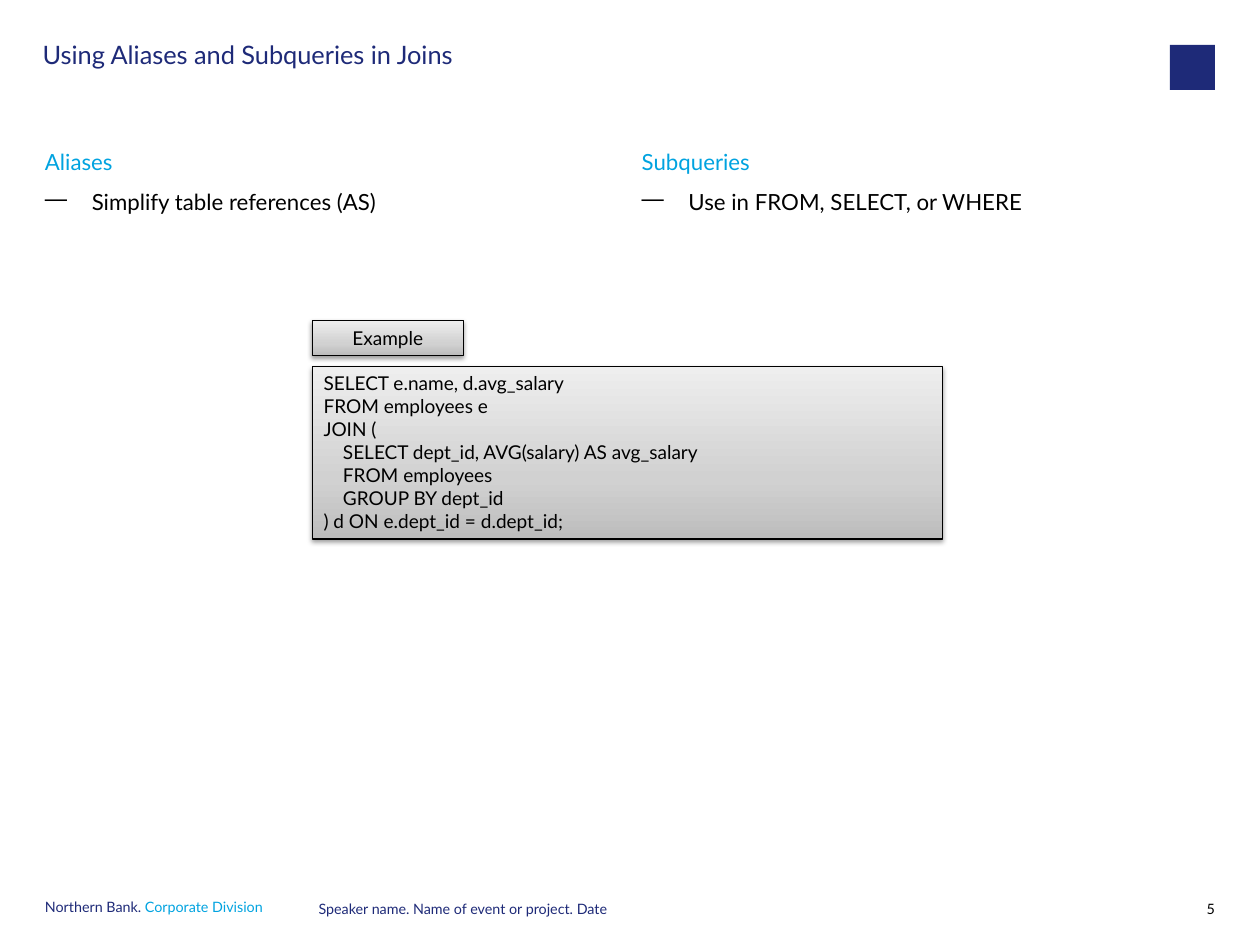
from lxml import etree
from pptx import Presentation
from pptx.dml.color import RGBColor
from pptx.enum.shapes import MSO_SHAPE as Shape
from pptx.enum.text import MSO_ANCHOR as Anchor, PP_ALIGN as Align
from pptx.oxml.ns import qn
from pptx.util import Cm, Pt

NAVY = RGBColor(0x1E, 0x2A, 0x78)
CYAN = RGBColor(0x00, 0xA3, 0xE0)
BLACK = RGBColor(0x00, 0x00, 0x00)
PANEL_STOPS = [(0, "BDBDBD"), (35, "D1D1D1"), (100, "EEEEEE")]

MARGIN = 1.0
COLUMN_WIDTH = 12.75
COLUMN_STEP = 13.26
PANEL_LEFT = 6.94
FOOTER_TOP = 20.02
FOOTER_HEIGHT = 0.5

COLUMNS = [
    ("Aliases", "Simplify table references (AS)"),
    ("Subqueries", "Use in FROM, SELECT, or WHERE"),
]
QUERY = [
    "SELECT e.name, d.avg_salary",
    "FROM employees e",
    "JOIN (",
    "    SELECT dept_id, AVG(salary) AS avg_salary",
    "    FROM employees",
    "    GROUP BY dept_id",
    ") d ON e.dept_id = d.dept_id;",
]


def add_child(parent, tag, **attributes):
    child = etree.SubElement(parent, qn(tag))
    for name, value in attributes.items():
        child.set(name, str(value))
    return child


class SlideBuilder:
    font = "Lato"

    def __init__(self, page):
        self.page = page

    def fill_frame(self, frame, lines, size, spacing=None, align=Align.LEFT):
        """Fill a frame with lines, each a list of (text, colour) spans."""
        frame.word_wrap = True
        for index, spans in enumerate(lines):
            para = frame.paragraphs[0] if index == 0 else frame.add_paragraph()
            para.alignment = align
            if spacing is not None:
                para.line_spacing = spacing
            for text, colour in spans:
                span = para.add_run()
                span.text = text
                span.font.name = self.font
                span.font.size = Pt(size)
                span.font.color.rgb = colour

    def text(self, left, top, width, height, lines, size, **style):
        box = self.page.shapes.add_textbox(Cm(left), Cm(top), Cm(width), Cm(height))
        frame = box.text_frame
        frame.margin_left = frame.margin_right = 0
        frame.margin_top = frame.margin_bottom = 0
        self.fill_frame(frame, lines, size, **style)
        return frame

    def footer(self, left, width, spans, drop=0, align=Align.LEFT):
        self.text(left, FOOTER_TOP + drop, width, FOOTER_HEIGHT, [spans], 9,
                  spacing=Pt(9), align=align)

    def column(self, left, heading, point):
        lines = [[(heading, CYAN)], [(point, BLACK)]]
        frame = self.text(left, 3.0, COLUMN_WIDTH, 16.0, lines, 14, spacing=1.5)
        indent = Cm(1.04)
        bullet = frame.paragraphs[1]._p.get_or_add_pPr()
        bullet.set("marL", str(indent))
        bullet.set("indent", str(-indent))
        add_child(bullet, "a:buChar", char="—")

    def panel(self, top, width, height, texts, align=Align.LEFT, anchor=Anchor.TOP):
        """Draw a grey gradient box with a black outline and soft shadow."""
        box = self.page.shapes.add_shape(
            Shape.RECTANGLE, Cm(PANEL_LEFT), Cm(top), Cm(width), Cm(height))
        box.fill.gradient()
        box.fill.gradient_angle = 90
        box.line.color.rgb = BLACK
        box.line.width = Pt(0.75)
        box.shadow.inherit = False
        properties = box._element.spPr

        stops = properties.find(".//" + qn("a:gsLst"))
        for stop in list(stops):
            stops.remove(stop)
        for position, colour in PANEL_STOPS:
            stop = add_child(stops, "a:gs", pos=position * 1000)
            add_child(stop, "a:srgbClr", val=colour)

        shadow = add_child(properties.find(qn("a:effectLst")), "a:outerShdw",
                           blurRad=Pt(3.1), dist=Pt(1.6), dir=90 * 60000,
                           rotWithShape=0)
        tint = add_child(shadow, "a:srgbClr", val=BLACK)
        add_child(tint, "a:alpha", val=38000)

        box.text_frame.vertical_anchor = anchor
        lines = [[(text, BLACK)] for text in texts]
        self.fill_frame(box.text_frame, lines, 12, align=align)

    def emblem(self, left, top, side):
        box = self.page.shapes.add_shape(
            Shape.RECTANGLE, Cm(left), Cm(top), Cm(side), Cm(side))
        box.shadow.inherit = False
        box.fill.solid()
        box.fill.fore_color.rgb = NAVY
        box.line.fill.background()


def main():
    deck = Presentation()
    deck.slide_width, deck.slide_height = Cm(28.0), Cm(21.0)
    builder = SlideBuilder(deck.slides.add_slide(deck.slide_layouts[6]))

    builder.emblem(26.0, 1.0, 1.0)
    builder.text(0.95, 0.95, 24.05, 1.55,
                 [[("Using Aliases and Subqueries in Joins", NAVY)]], 16, spacing=0.9)

    for index, (heading, point) in enumerate(COLUMNS):
        builder.column(MARGIN + index * COLUMN_STEP, heading, point)

    builder.panel(8.14, 14.0, 3.84, QUERY)
    builder.panel(7.13, 3.36, 0.77, ["Example"], Align.CENTER, Anchor.MIDDLE)

    builder.footer(MARGIN, 5.56, [("Northern Bank. ", NAVY), ("Corporate Division", CYAN)])
    builder.footer(7.08, 13.72, [("Speaker name. Name of event or project. Date", NAVY)],
                   drop=0.06)
    builder.footer(26.0, 1.0, [("5", BLACK)], drop=0.06, align=Align.RIGHT)

    deck.save("out.pptx")


if __name__ == "__main__":
    main()
